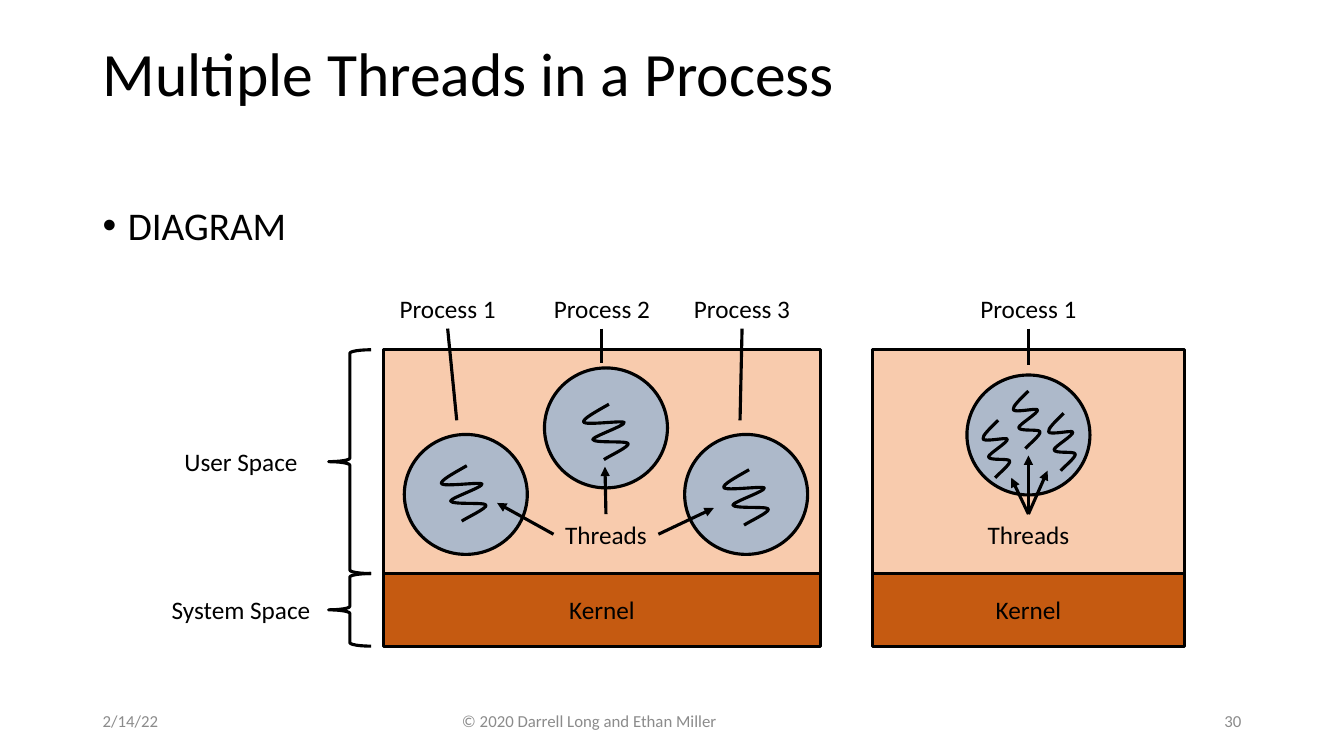
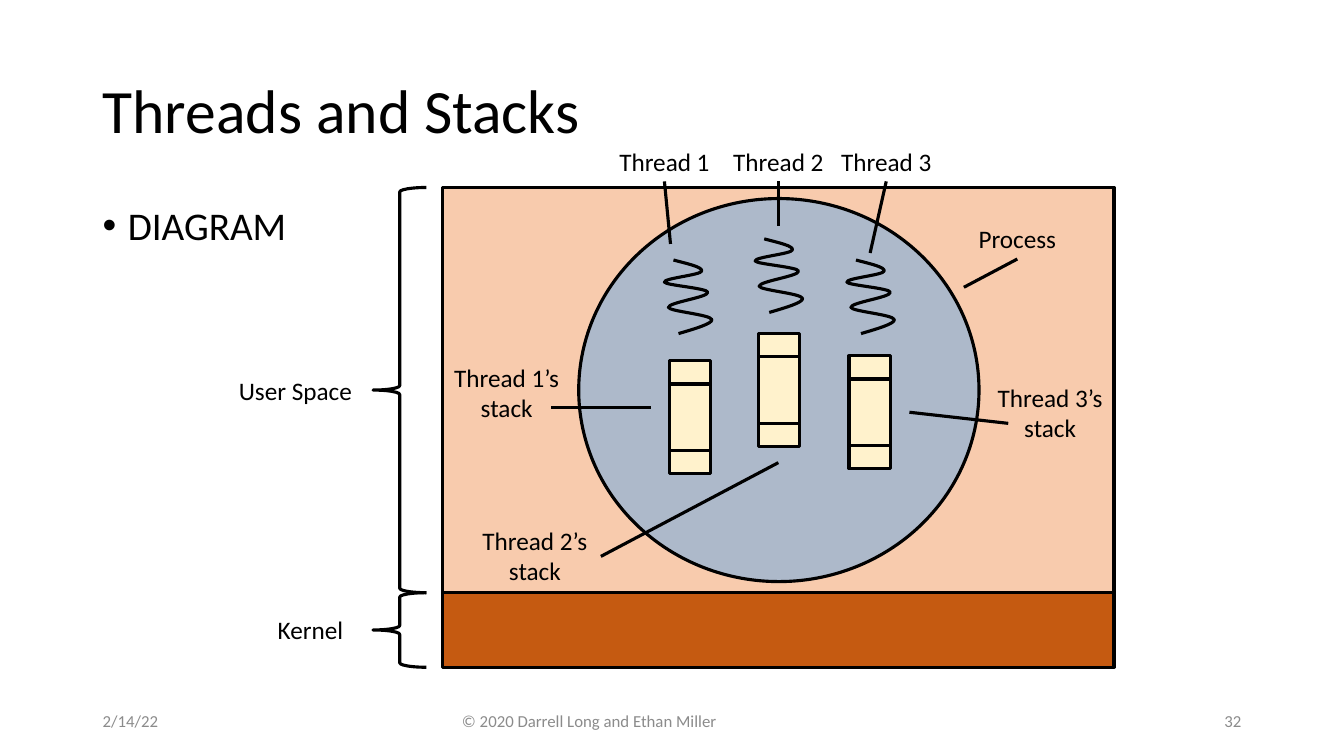
import pptx
import pptx.util
import pptx.dml.color
import pptx.enum.shapes
import pptx.enum.text
import pptx.oxml.ns
from lxml import etree
from dataclasses import dataclass

Inches, Pt = pptx.util.Inches, pptx.util.Pt
SHAPE = pptx.enum.shapes.MSO_SHAPE
ALIGN = pptx.enum.text.PP_ALIGN
ANCHOR = pptx.enum.text.MSO_ANCHOR
qn = pptx.oxml.ns.qn


@dataclass(frozen=True)
class Theme:
    font: str = "Calibri"
    ink: str = "000000"
    grey: str = "8B8B8B"
    user: str = "F8CBAD"
    kernel: str = "C55A11"
    process: str = "ADB9CA"
    stack: str = "FFF2CC"
    title: int = 44
    body: int = 28
    label: int = 18
    footer: int = 12
    line: float = 2.25


T = Theme()

# Shared content
BULLET = "DIAGRAM"
DATE = "2/14/22"
CREDIT = "© 2020 Darrell Long and Ethan Miller"

# Thread curves: size, start point, then Bezier segments (two controls, end)
SHORT_THREAD = ((0.45, 0.55), (0.25, 0), [
    ((0.11, 0.08), (-0.02, 0.15), (0, 0.18)),
    ((0.03, 0.21), (0.39, 0.16), (0.4, 0.18)),
    ((0.42, 0.21), (0.09, 0.32), (0.09, 0.35)),
    ((0.1, 0.39), (0.43, 0.36), (0.44, 0.39)),
    ((0.46, 0.42), (0.24, 0.52), (0.2, 0.55))])
LONG_THREAD = ((0.46, 0.73), (0.09, 0), [
    ((0.24, 0.04), (0.38, 0.07), (0.37, 0.11)),
    ((0.36, 0.15), (-0.01, 0.18), (0, 0.22)),
    ((0.01, 0.25), (0.43, 0.28), (0.43, 0.32)),
    ((0.44, 0.37), (0.04, 0.42), (0.04, 0.47)),
    ((0.05, 0.51), (0.45, 0.54), (0.47, 0.59)),
    ((0.48, 0.63), (0.31, 0.68), (0.14, 0.73))])

# memory: left, width, kernel text. zones: y edges of user and kernel space.
# braces: left, width, then (label, centre x) for each zone.
# labels: text, centre x, top, end of the pointer from its foot (or None).
SLIDES = [
    dict(
        title="Multiple Threads in a Process", title_top=0.38, anchor=ANCHOR.TOP,
        number="30", zones=(3.47, 5.69, 6.41),
        memory=[(3.8, 4.34, "Kernel"), (8.65, 3.1, "Kernel")],
        braces=(3.26, 0.42, [("User Space", 2.39), ("System Space", 2.39)]),
        process_size=(1.22, 1.19),
        processes=[(4.01, 4.31), (5.4, 3.65), (6.79, 4.31), (9.59, 3.72)],
        threads=[(SHORT_THREAD, (0.45, 0.55), [(4.38, 4.62), (5.79, 4.01), (7.18, 4.66)]),
                 (SHORT_THREAD, (0.27, 0.57), [(9.75, 4.17), (10.05, 3.88), (10.4, 4.1)])],
        stacks=[],
        labels=[("Process 1", 4.44, 2.86, (4.53, 4.17)),
                ("Process 2", 5.97, 2.86, (5.97, 3.6)),
                ("Process 3", 7.36, 2.86, (7.34, 4.17)),
                ("Process 1", 10.2, 2.86, (10.2, 3.62)),
                ("Threads", 6.01, 5.1, None),
                ("Threads", 10.2, 5.1, None)],
        stack_labels=[],
        arrows=[((5.49, 5.3), (4.93, 4.99)), ((6.01, 5.1), (6, 4.63)),
                ((6.53, 5.3), (7.08, 5.04)), ((10.2, 5.1), (10.03, 4.74)),
                ((10.2, 5.1), (10.2, 4.52)), ((10.2, 5.1), (10.39, 4.67))],
    ),
    dict(
        title="Threads and Stacks", title_top=0.4, anchor=ANCHOR.MIDDLE,
        number="32", zones=(1.86, 5.88, 6.62),
        memory=[(4.39, 6.66, "")],
        braces=(3.7, 0.53, [("User Space", 2.93), ("Kernel", 3.08)]),
        process_size=(3.97, 3.8),
        processes=[(5.74, 1.97)],
        threads=[(LONG_THREAD, (0.46, 0.73), [(6.59, 2.58), (7.49, 2.37), (8.4, 2.58)])],
        stacks=[(6.64, 3.58), (7.52, 3.31), (8.42, 3.53)],
        labels=[("Thread 1", 6.59, 1.4, (6.65, 2.42)),
                ("Thread 2", 7.72, 1.4, (7.72, 2.24)),
                ("Thread 3", 8.79, 1.4, (8.63, 2.51)),
                ("Process", 10.09, 2.17, (9.56, 2.85))],
        # text, left, top, pointer ends
        stack_labels=[("Thread 1’s stack", 4.38, 3.54, (5.47, 4.04), (6.46, 4.04)),
                      ("Thread 2’s stack", 4.66, 5.16, (5.96, 5.52), (7.72, 4.59)),
                      ("Thread 3’s stack", 9.77, 3.74, (10, 4.2), (9.02, 4.09))],
        arrows=[],
    ),
]

LABEL_W, LABEL_H = 1.63, 0.4
STACK_W, STACK_PARTS = 0.41, (0.23, 0.66, 0.23)


def rgb(color):
    return pptx.dml.color.RGBColor.from_string(color)


# Text
def style(tf, text, size, color=T.ink, align=ALIGN.CENTER, anchor=ANCHOR.TOP):
    tf.text = text
    tf.word_wrap = True
    tf.vertical_anchor = anchor
    p = tf.paragraphs[0]
    p.alignment = align
    for r in p.runs:
        r.font.name, r.font.size = T.font, Pt(size)
        r.font.color.rgb = rgb(color)
    return p


def add_text(s, box, text, size, **look):
    tf = s.shapes.add_textbox(*map(Inches, box)).text_frame
    return style(tf, text, size, **look)


def add_label(s, text, cx, top):
    add_text(s, (cx - LABEL_W / 2, top, LABEL_W, LABEL_H), text, T.label)


# Shapes and lines
def outline(sp, fill=None):
    sp.shadow.inherit = False
    if fill:
        sp.fill.solid()
        sp.fill.fore_color.rgb = rgb(fill)
    else:
        sp.fill.background()
    sp.line.color.rgb = rgb(T.ink)
    sp.line.width = Pt(T.line)


def add_shape(s, kind, box, fill=None, text=""):
    sp = s.shapes.add_shape(kind, *map(Inches, box))
    outline(sp, fill)
    if text:
        style(sp.text_frame, text, T.label, anchor=ANCHOR.MIDDLE)


def add_line(s, start, end, arrow=False):
    c = s.shapes.add_connector(pptx.enum.shapes.MSO_CONNECTOR.STRAIGHT,
                               *map(Inches, start + end))
    c.line.color.rgb = rgb(T.ink)
    c.line.width = Pt(T.line)
    if arrow:
        etree.SubElement(c.line._get_or_add_ln(), qn("a:tailEnd"), type="triangle")
    etree.SubElement(c._element.spPr, qn("a:effectLst"))


def add_thread(s, curve, size, left, top):
    (w, h), start, segments = curve

    def place(point):
        return (Inches(left + point[0] * size[0] / w),
                Inches(top + point[1] * size[1] / h))

    fb = s.shapes.build_freeform(*place(start))
    fb.add_line_segments([place(seg[-1]) for seg in segments], close=False)
    sp = fb.convert_to_shape()
    outline(sp)
    # Turn each straight segment into a Bezier curve
    for ln_to, seg in zip(list(sp._element.iter(qn("a:lnTo"))), segments):
        bezier = etree.Element(qn("a:cubicBezTo"))
        for x, y in map(place, seg):
            etree.SubElement(bezier, qn("a:pt"), x=str(x - sp.left), y=str(y - sp.top))
        ln_to.getparent().replace(ln_to, bezier)


def add_stack(s, left, top):
    for height in STACK_PARTS:
        add_shape(s, SHAPE.RECTANGLE, (left, top, STACK_W, height), T.stack)
        top += height


# Slide parts
def add_frame(s, d):
    p = add_text(s, (0.92, d["title_top"], 11.5, 1.45), d["title"], T.title,
                 align=ALIGN.LEFT, anchor=d["anchor"])
    p.line_spacing = 0.9
    p = add_text(s, (0.92, 2, 11.5, 4.76), BULLET, T.body, align=ALIGN.LEFT)
    p.line_spacing, p.space_before = 0.9, Pt(10)
    pPr = p._p.get_or_add_pPr()
    pPr.set("marL", str(Inches(0.25)))
    pPr.set("indent", str(Inches(-0.25)))
    etree.SubElement(pPr, qn("a:buFont"), typeface="Arial")
    etree.SubElement(pPr, qn("a:buChar"), char="•")
    for left, width, text, align in [(0.92, 1.36, DATE, ALIGN.LEFT),
                                     (3.04, 5.61, CREDIT, ALIGN.CENTER),
                                     (9.41, 3, d["number"], ALIGN.RIGHT)]:
        add_text(s, (left, 6.95, width, 0.4), text, T.footer, color=T.grey,
                 align=align, anchor=ANCHOR.MIDDLE)


def add_memory(s, d):
    top, split, bottom = d["zones"]
    for left, width, text in d["memory"]:
        add_shape(s, SHAPE.RECTANGLE, (left, top, width, split - top), T.user)
        add_shape(s, SHAPE.RECTANGLE, (left, split, width, bottom - split), T.kernel, text)
    left, width, names = d["braces"]
    for (text, cx), y1, y2 in zip(names, (top, split), (split, bottom)):
        add_shape(s, SHAPE.LEFT_BRACE, (left, y1, width, y2 - y1))
        add_label(s, text, cx, (y1 + y2 - LABEL_H) / 2)


def add_diagram(s, d):
    for spot in d["processes"]:
        add_shape(s, SHAPE.OVAL, spot + d["process_size"], T.process)
    for curve, size, spots in d["threads"]:
        for spot in spots:
            add_thread(s, curve, size, *spot)
    for spot in d["stacks"]:
        add_stack(s, *spot)
    for text, cx, top, target in d["labels"]:
        add_label(s, text, cx, top)
        if target:
            add_line(s, (cx, top + LABEL_H), target)
    for text, left, top, start, end in d["stack_labels"]:
        add_text(s, (left, top, 1.29, 0.71), text, T.label)
        add_line(s, start, end)
    for start, end in d["arrows"]:
        add_line(s, start, end, arrow=True)


def main():
    prs = pptx.Presentation()
    prs.slide_width, prs.slide_height = Inches(13.33), Inches(7.5)
    for d in SLIDES:
        s = prs.slides.add_slide(prs.slide_layouts[6])
        add_frame(s, d)
        add_memory(s, d)
        add_diagram(s, d)
    prs.save("out.pptx")


if __name__ == "__main__":
    main()
